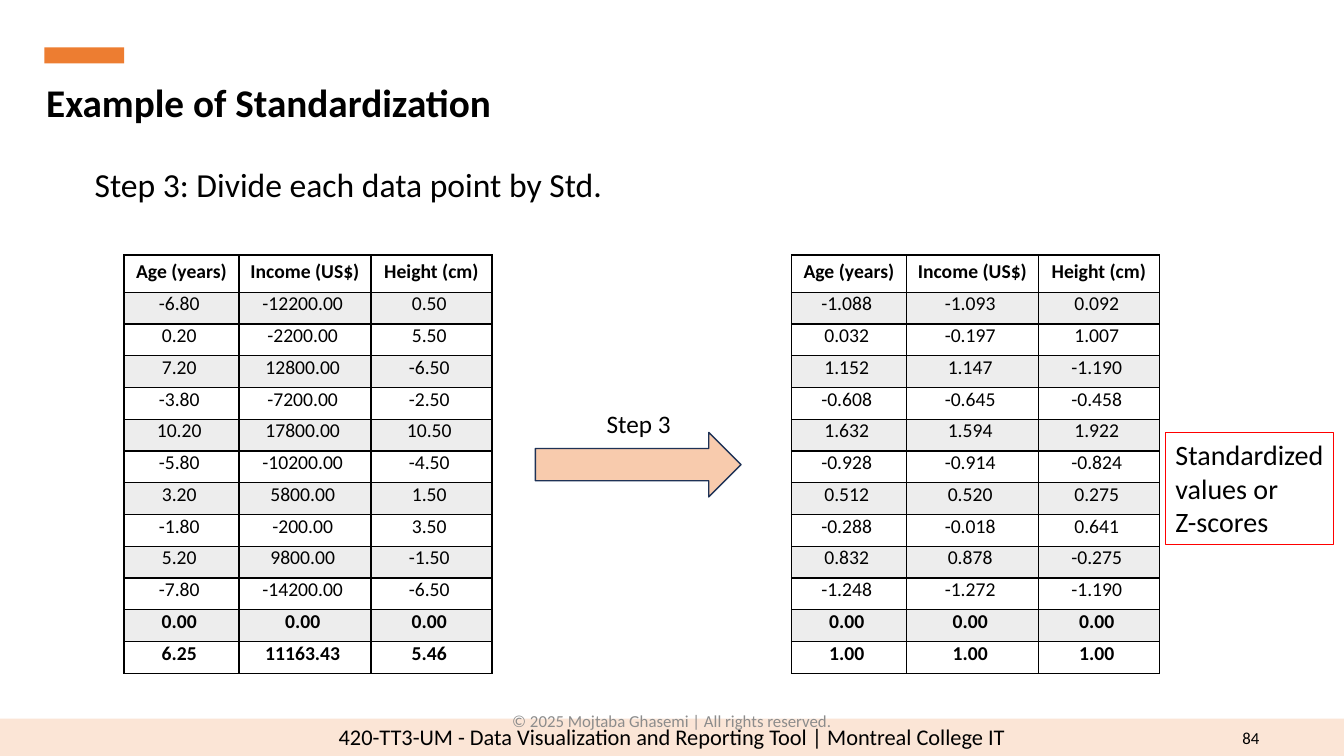
import lxml.etree
import pptx
import pptx.dml.color
import pptx.enum.shapes
import pptx.enum.text
import pptx.oxml.ns
import pptx.util

Inches = pptx.util.Inches
Pt = pptx.util.Pt
SHAPES = pptx.enum.shapes.MSO_SHAPE
ALIGN = pptx.enum.text.PP_ALIGN
ANCHOR = pptx.enum.text.MSO_ANCHOR
AUTO_SIZE = pptx.enum.text.MSO_AUTO_SIZE
qn = pptx.oxml.ns.qn

COLUMN_WIDTHS = [1.14, 1.31, 1.2]
HEADER_HEIGHT, ROW_HEIGHT = 0.37, 0.315
HEADERS = ["Age (years)", "Income (US$)", "Height (cm)"]
NO_BREAK_SPACE = " "

# The last two rows hold the mean and the standard deviation
CENTERED_DATA = [
    ["-6.80", "-12200.00", "0.50"],
    ["0.20", "-2200.00", "5.50"],
    ["7.20", "12800.00", "-6.50"],
    ["-3.80", "-7200.00", "-2.50"],
    ["10.20", "17800.00", "10.50"],
    ["-5.80", "-10200.00", "-4.50"],
    ["3.20", "5800.00", "1.50"],
    ["-1.80", "-200.00", "3.50"],
    ["5.20", "9800.00", "-1.50"],
    ["-7.80", "-14200.00", "-6.50"],
    ["0.00", "0.00", "0.00"],
    ["6.25", "11163.43", "5.46"],
]
STANDARDIZED_DATA = [
    ["-1.088", "-1.093", "0.092"],
    ["0.032", "-0.197", "1.007"],
    ["1.152", "1.147", "-1.190"],
    ["-0.608", "-0.645", "-0.458"],
    ["1.632", "1.594", "1.922"],
    ["-0.928", "-0.914", "-0.824"],
    ["0.512", "0.520", "0.275"],
    ["-0.288", "-0.018", "0.641"],
    ["0.832", "0.878", "-0.275"],
    ["-1.248", "-1.272", "-1.190"],
    ["0.00", "0.00", "0.00"],
    ["1.00", "1.00", "1.00"],
]


def color(value):
    return pptx.dml.color.RGBColor.from_string(value)


def write(frame, text, size, align=ALIGN.LEFT, bold=False, ink="000000"):
    frame.text = text
    for para in frame.paragraphs:
        para.alignment = align
        for span in para.runs:
            span.font.name = "Calibri"
            span.font.size = Pt(size)
            span.font.bold = bold
            span.font.color.rgb = color(ink)


def add_text(page, box, text, size, wrap=True, anchor=ANCHOR.TOP, **style):
    frame = page.shapes.add_textbox(*map(Inches, box)).text_frame
    frame.word_wrap = wrap
    frame.vertical_anchor = anchor
    write(frame, text, size, **style)


def add_block(page, kind, box, fill=None, line=None, line_width=1):
    block = page.shapes.add_shape(kind, *map(Inches, box))
    block.shadow.inherit = False
    if fill:
        block.fill.solid()
        block.fill.fore_color.rgb = color(fill)
    else:
        block.fill.background()
    if line:
        block.line.color.rgb = color(line)
        block.line.width = Pt(line_width)
    else:
        block.line.fill.background()
    block.text_frame.word_wrap = True
    block.text_frame.vertical_anchor = ANCHOR.TOP
    return block


def style_cell(cell, shaded):
    properties = cell._tc.get_or_add_tcPr()
    for side in ("a:lnL", "a:lnR", "a:lnT", "a:lnB"):
        border = lxml.etree.SubElement(properties, qn(side), w=str(Pt(1)))
        paint = lxml.etree.SubElement(border, qn("a:solidFill"))
        lxml.etree.SubElement(paint, qn("a:srgbClr"), val="000000")
    if shaded:
        cell.fill.solid()
        cell.fill.fore_color.rgb = color("A5A5A5")
        shade = properties.find(qn("a:solidFill"))[0]
        lxml.etree.SubElement(shade, qn("a:alpha"), val="20000")
    else:
        cell.fill.background()


def add_data_table(page, left, top, data):
    rows = [HEADERS] + data
    height = HEADER_HEIGHT + ROW_HEIGHT * len(data)
    box = (left, top, sum(COLUMN_WIDTHS), height)
    table = page.shapes.add_table(len(rows), len(HEADERS), *map(Inches, box)).table
    table.first_row = table.horz_banding = False
    for column, width in zip(table.columns, COLUMN_WIDTHS):
        column.width = Inches(width)
    for r, values in enumerate(rows):
        table.rows[r].height = Inches(ROW_HEIGHT if r else HEADER_HEIGHT)
        for c, value in enumerate(values):
            cell = table.cell(r, c)
            if r:
                cell.margin_left = cell.margin_right = Inches(0.05)
                cell.margin_top = cell.margin_bottom = 0
                value += NO_BREAK_SPACE
            bold = r == 0 or r > len(data) - 2
            write(cell.text_frame, value, 14, align=ALIGN.CENTER, bold=bold)
            style_cell(cell, shaded=r % 2 == 1)


def add_heading(page, left, top):
    add_block(page, SHAPES.RECTANGLE, (left + 0.08, top, 0.79, 0.16), "ED7D31")
    add_text(page, (left, top + 0.26, 11.45, 0.57),
             "Example of Standardization", 28, bold=True)
    add_text(page, (left + 0.48, top + 1.11, 5.37, 0.5),
             "Step 3: Divide each data point by Std.", 24, wrap=False)


def add_step_arrow(page, left, top):
    add_block(page, SHAPES.RIGHT_ARROW, (left, top, 2.04, 0.64),
              "F8CBAD", line="1E3256")
    add_text(page, (left + 0.59, top - 0.29, 0.85, 0.4), "Step 3", 18,
             wrap=False, align=ALIGN.RIGHT)


def add_result_note(page, left, top):
    note = add_block(page, SHAPES.RECTANGLE, (left, top, 1.67, 1.11),
                     line="FF0000", line_width=0.75)
    write(note.text_frame, "Standardized values or\nZ-scores", 20)
    note.text_frame.auto_size = AUTO_SIZE.SHAPE_TO_FIT_TEXT


def add_footer(page, top, width):
    bar = add_block(page, SHAPES.RECTANGLE, (0, top, width, 0.37), "FBE5D6")
    write(bar.text_frame,
          "420-TT3-UM - Data Visualization and Reporting Tool | Montreal College IT",
          16, align=ALIGN.CENTER)
    add_text(page, (12.21, top - 0.01, 0.38, 0.4), "84", 12,
             anchor=ANCHOR.MIDDLE, align=ALIGN.RIGHT)
    add_text(page, ((width - 4.5) / 2, top - 0.18, 4.5, 0.4),
             "© 2025 Mojtaba Ghasemi | All rights reserved.", 12,
             anchor=ANCHOR.MIDDLE, align=ALIGN.CENTER, ink="8C8C8C")


def main():
    deck = pptx.Presentation()
    deck.slide_width, deck.slide_height = Inches(13.33), Inches(7.5)
    page = deck.slides.add_slide(deck.slide_layouts[6])
    add_footer(page, 7.13, 13.33)
    add_heading(page, 0.36, 0.47)
    add_data_table(page, 1.23, 2.53, CENTERED_DATA)
    add_step_arrow(page, 5.31, 4.29)
    add_data_table(page, 7.85, 2.53, STANDARDIZED_DATA)
    add_result_note(page, 11.56, 4.29)
    deck.save("out.pptx")


if __name__ == "__main__":
    main()
